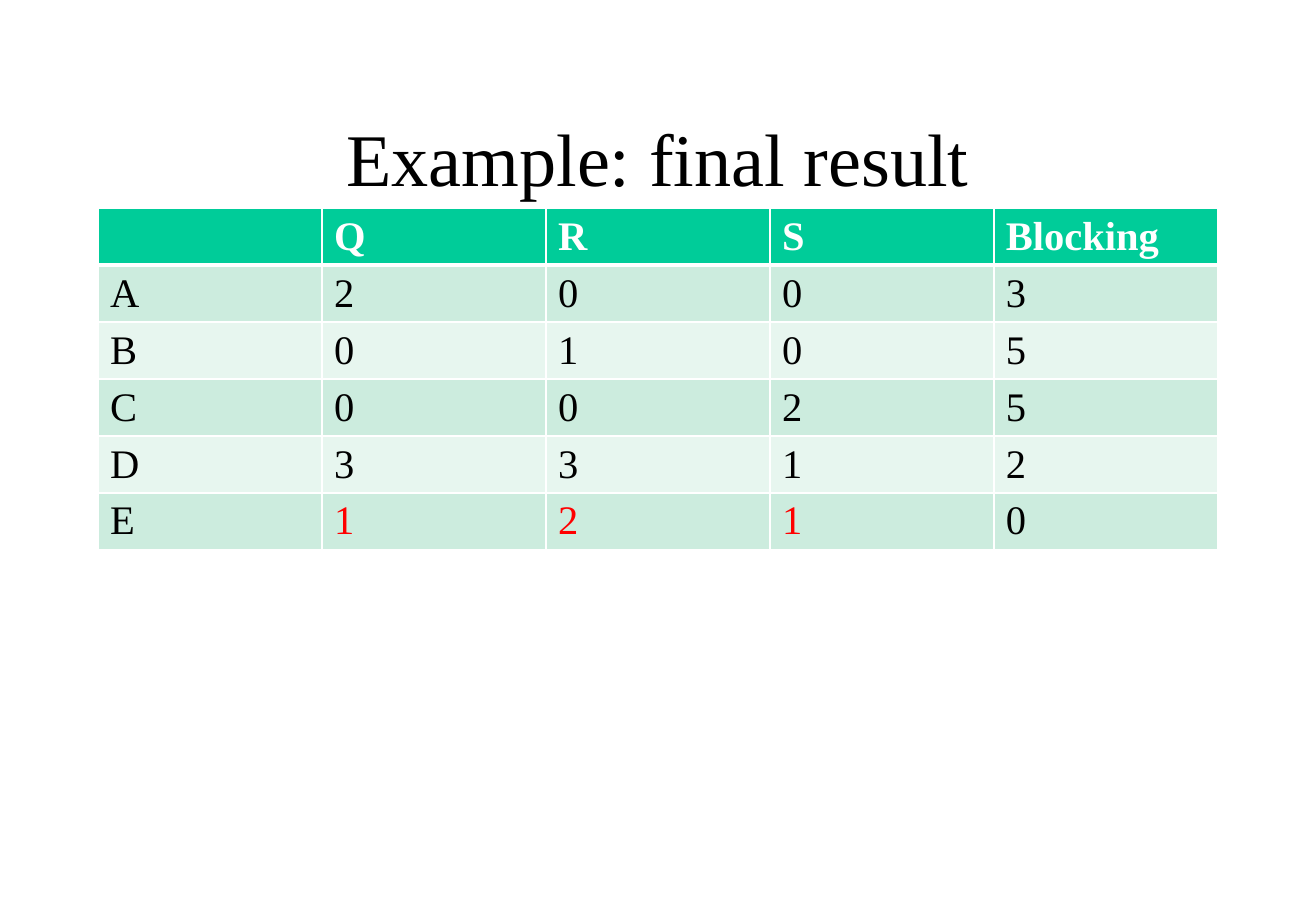
"""Builds the slide with the final result table of the blocking example."""
import pptx
import pptx.dml.color
import pptx.enum.text
import pptx.oxml
import pptx.oxml.ns
import pptx.util

SCALE = 7526
FONT = "Times New Roman"
COLORS = {
    "text": "000000",
    "white": "FFFFFF",
    "header": "00CC99",
    "odd": "CCECDE",
    "even": "E7F6EF",
    "highlight": "FF0000",
}
ROWS = [
    ["", "Q", "R", "S", "Blocking"],
    ["A", "2", "0", "0", "3"],
    ["B", "0", "1", "0", "5"],
    ["C", "0", "0", "2", "5"],
    ["D", "3", "3", "1", "2"],
    ["E", "1", "2", "1", "0"],
]
HIGHLIGHTED = {(5, 1), (5, 2), (5, 3)}
LEFT, COLUMN_WIDTH, ROW_HEIGHT = 98, 224, 49
TABLE_WIDTH = COLUMN_WIDTH * len(ROWS[0])


def px(length):
    return pptx.util.Emu(length * SCALE)


def add_span(para, text, size, color, bold=False):
    span = para.add_run()
    span.text = text
    span.font.name = FONT
    span.font.size = pptx.util.Pt(size)
    span.font.bold = bold
    span.font.color.rgb = pptx.dml.color.RGBColor.from_string(COLORS[color])


deck = pptx.Presentation()
deck.slide_width, deck.slide_height = px(1316), px(911)
page = deck.slides.add_slide(deck.slide_layouts[5])

title = page.shapes.title
title.left, title.top, title.width, title.height = px(LEFT), px(81), px(TABLE_WIDTH), px(152)
title.text_frame.auto_size = pptx.enum.text.MSO_AUTO_SIZE.NONE
title.text_frame.vertical_anchor = pptx.enum.text.MSO_ANCHOR.MIDDLE
title_para = title.text_frame.paragraphs[0]
title_para.alignment = pptx.enum.text.PP_ALIGN.CENTER
add_span(title_para, "Example: final result", 44, "text")

table = page.shapes.add_table(
    len(ROWS), len(ROWS[0]), px(LEFT), px(208), px(TABLE_WIDTH), px(ROW_HEIGHT * len(ROWS))
).table
for row_index, row in enumerate(ROWS):
    is_header = row_index == 0
    row_fill = "header" if is_header else "odd" if row_index % 2 else "even"
    border_widths = {"L": 1, "R": 1, "T": 3 if row_index == 1 else 1, "B": 3 if is_header else 1}
    for column_index, text in enumerate(row):
        cell = table.cell(row_index, column_index)
        properties = cell._tc.get_or_add_tcPr()
        for side, width in border_widths.items():
            properties.append(pptx.oxml.parse_xml(
                f'<a:ln{side} {pptx.oxml.ns.nsdecls("a")} w="{pptx.util.Pt(width)}">'
                f'<a:solidFill><a:srgbClr val="{COLORS["white"]}"/></a:solidFill></a:ln{side}>'
            ))
        cell.fill.solid()
        cell.fill.fore_color.rgb = pptx.dml.color.RGBColor.from_string(COLORS[row_fill])
        if text:
            highlighted = (row_index, column_index) in HIGHLIGHTED
            color = "white" if is_header else "highlight" if highlighted else "text"
            add_span(cell.text_frame.paragraphs[0], text, 24, color, is_header)

deck.save("out.pptx")
